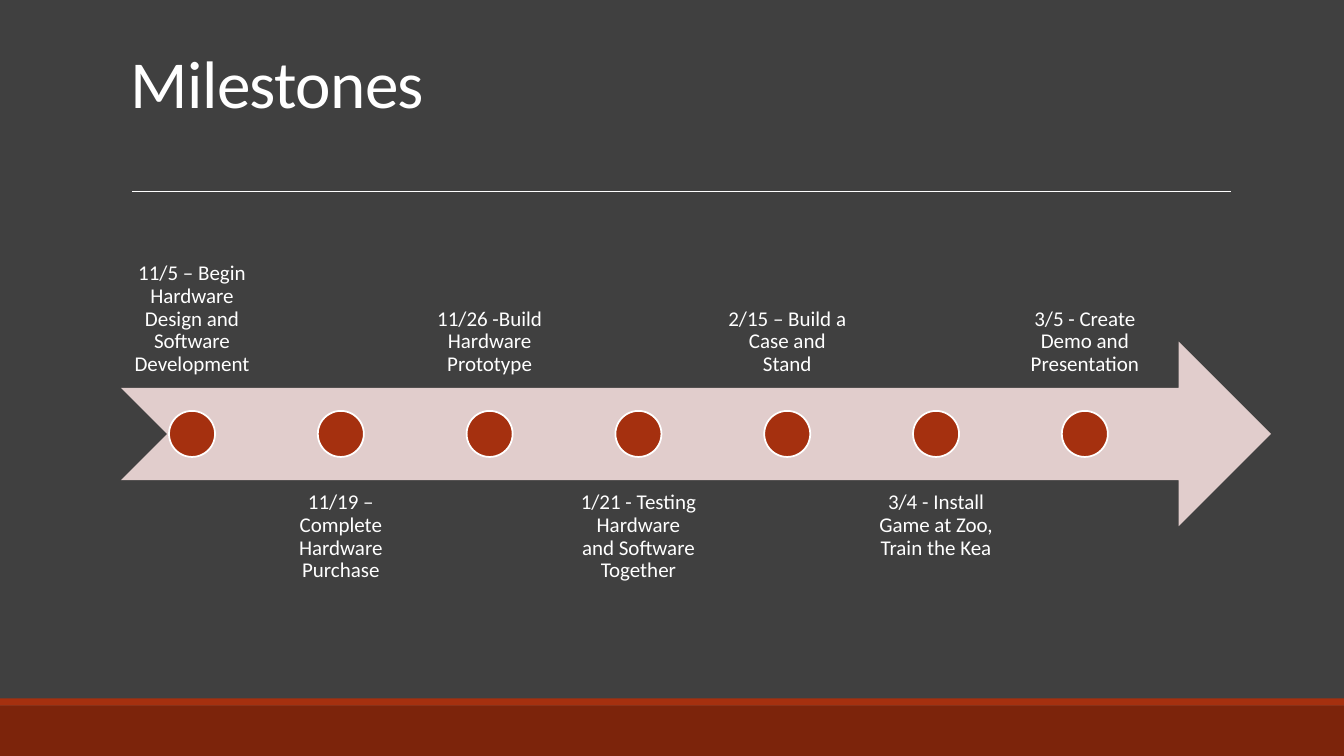
from lxml.etree import SubElement
from pptx import Presentation
from pptx.dml.color import RGBColor
from pptx.enum.shapes import MSO_CONNECTOR as Connector, MSO_SHAPE as Shape
from pptx.enum.text import MSO_ANCHOR as Anchor, PP_ALIGN as Align
from pptx.oxml.ns import qn
from pptx.util import Cm, Pt

CHARCOAL = RGBColor(0x40, 0x40, 0x40)
WHITE = RGBColor(0xFF, 0xFF, 0xFF)
RUST = RGBColor(0xA5, 0x30, 0x0F)
DARK_RUST = RGBColor(0x7C, 0x24, 0x0B)
PALE_ROSE = RGBColor(0xE1, 0xCD, 0xCC)

FONT = "Calibri"
SLIDE_WIDTH, SLIDE_HEIGHT = 33.87, 19.05

# Timeline geometry, in centimetres
LEFT, STEP = 3.05, 3.75
ARROW_TOP, ARROW_WIDTH, ARROW_HEIGHT = 8.61, 28.98, 4.65
LABEL_WIDTH, LABEL_HEIGHT, LABEL_INSET = 3.58, 4.65, 0.3
ABOVE_TOP, BELOW_TOP = 5.13, 12.09
DOT_SIZE = 1.16

MILESTONES = [
    "11/5 – Begin Hardware Design and Software Development",
    "11/19 – Complete Hardware Purchase",
    "11/26 -Build Hardware Prototype",
    "1/21 - Testing Hardware and Software Together",
    "2/15 – Build a Case and Stand",
    "3/4 - Install Game at Zoo, Train the Kea",
    "3/5 - Create Demo and Presentation",
]


def add_filled_shape(page, kind, left, top, width, height, fill, outline=None):
    shape = page.shapes.add_shape(kind, Cm(left), Cm(top), Cm(width), Cm(height))
    shape.shadow.inherit = False
    shape.fill.solid()
    shape.fill.fore_color.rgb = fill
    if outline is None:
        shape.line.fill.background()
    else:
        shape.line.color.rgb = outline
        shape.line.width = Pt(1.25)


def add_rule(page, left, right, y):
    rule = page.shapes.add_connector(
        Connector.STRAIGHT, Cm(left), Cm(y), Cm(right), Cm(y))
    rule.line.color.rgb = WHITE
    rule.line.width = Pt(0.5)
    SubElement(rule._element.spPr, qn("a:effectLst"))


def add_text(page, text, left, top, width, height, insets, size,
             anchor, align, line_spacing):
    box = page.shapes.add_textbox(Cm(left), Cm(top), Cm(width), Cm(height))
    frame = box.text_frame
    frame.word_wrap = True
    frame.vertical_anchor = anchor
    frame.margin_left, frame.margin_top, frame.margin_right, frame.margin_bottom = (
        Cm(inset) for inset in insets)
    para = frame.paragraphs[0]
    para.alignment = align
    para.line_spacing = line_spacing
    span = para.add_run()
    span.text = text
    span.font.name = FONT
    span.font.size = Pt(size)
    span.font.color.rgb = WHITE
    return span


def add_title(page, text):
    # The deep bottom inset lifts the title well clear of the rule
    span = add_text(page, text, LEFT, 0.79, 27.94, 4.04, (0.25, 0.13, 0.25, 1.88),
                    48, Anchor.BOTTOM, Align.LEFT, 0.85)
    span._r.get_or_add_rPr().set("spc", "-50")


def add_milestone(page, index, text):
    left = LEFT + index * STEP
    above = index % 2 == 0
    add_text(page, text, left, ABOVE_TOP if above else BELOW_TOP,
             LABEL_WIDTH, LABEL_HEIGHT, [LABEL_INSET] * 4, 15,
             Anchor.BOTTOM if above else Anchor.TOP, Align.CENTER, 0.9)
    add_filled_shape(page, Shape.OVAL, left + (LABEL_WIDTH - DOT_SIZE) / 2,
                     ARROW_TOP + (ARROW_HEIGHT - DOT_SIZE) / 2,
                     DOT_SIZE, DOT_SIZE, RUST, WHITE)


def main():
    deck = Presentation()
    deck.slide_width, deck.slide_height = Cm(SLIDE_WIDTH), Cm(SLIDE_HEIGHT)
    page = deck.slides.add_slide(deck.slide_layouts[6])
    page.background.fill.solid()
    page.background.fill.fore_color.rgb = CHARCOAL

    # Footer bands
    add_filled_shape(page, Shape.RECTANGLE, 0, 17.78, SLIDE_WIDTH, 1.27, DARK_RUST)
    add_filled_shape(page, Shape.RECTANGLE, 0, 17.6, SLIDE_WIDTH, 0.18, RUST)

    # Heading
    add_rule(page, 3.33, 31.01, 4.82)
    add_title(page, "Milestones")

    # Timeline
    add_filled_shape(page, Shape.NOTCHED_RIGHT_ARROW, LEFT, ARROW_TOP,
                     ARROW_WIDTH, ARROW_HEIGHT, PALE_ROSE)
    for index, text in enumerate(MILESTONES):
        add_milestone(page, index, text)

    deck.save("out.pptx")


if __name__ == "__main__":
    main()
